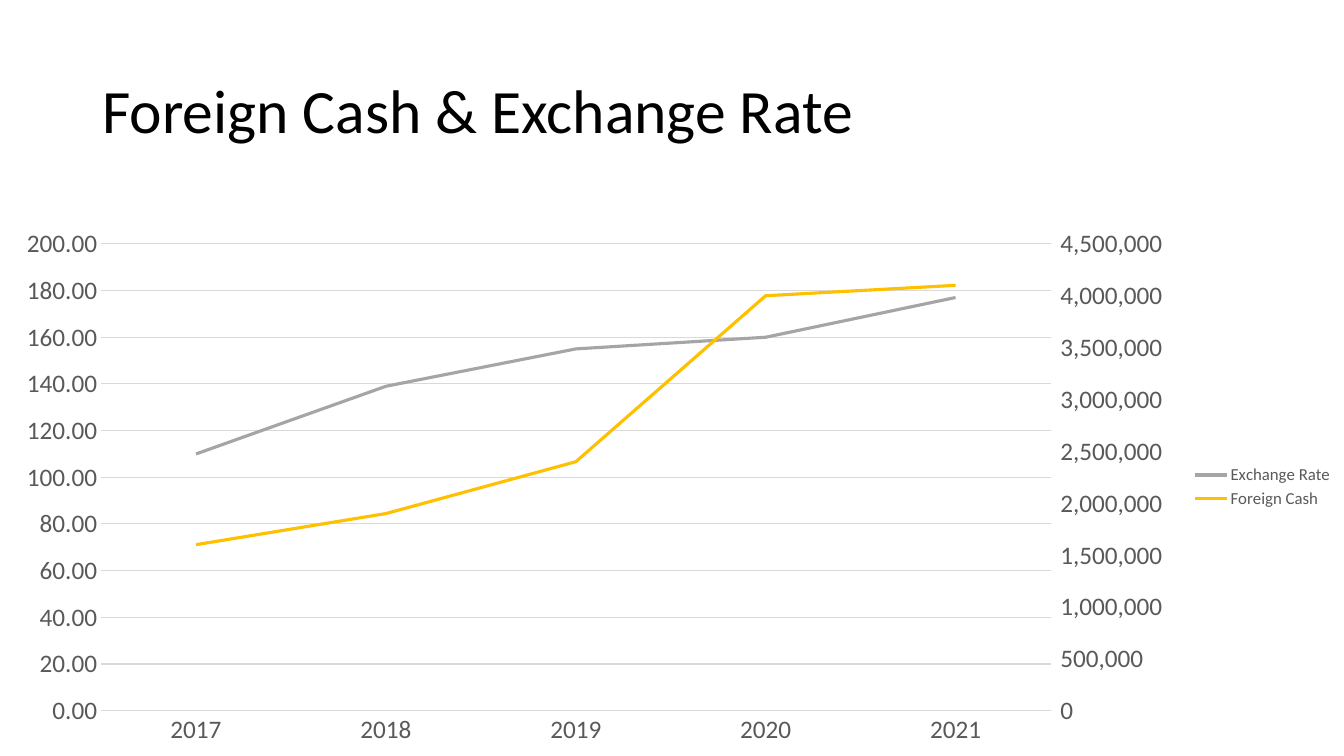
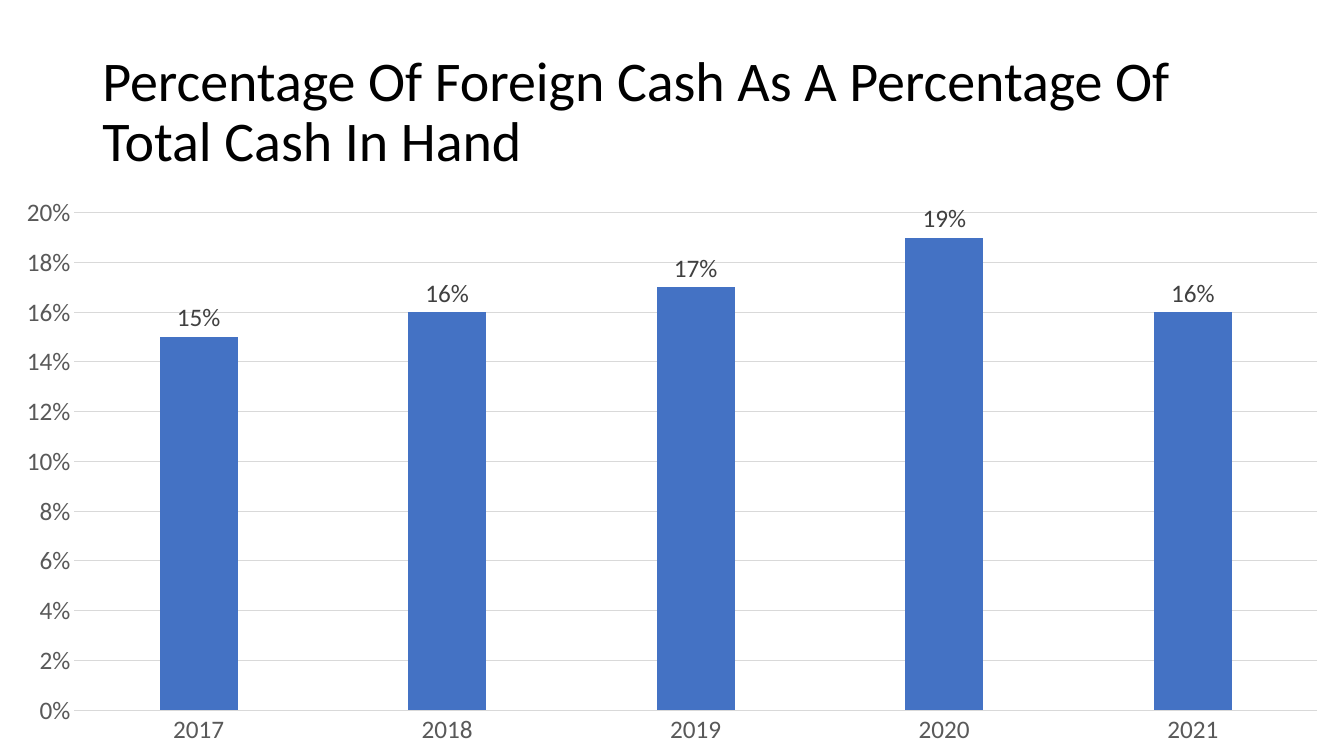
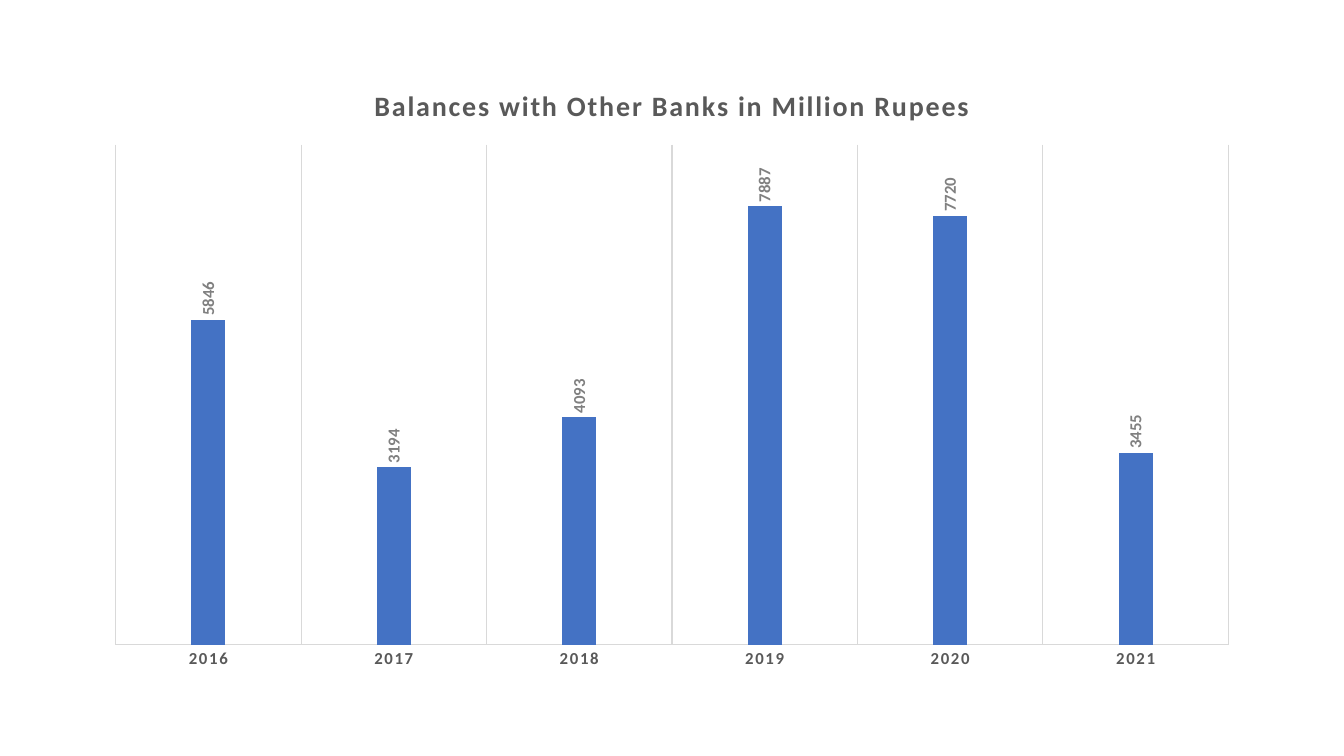
"""Build three slides of cash and bank balance charts."""
from copy import deepcopy

from pptx import Presentation
from pptx.chart.data import CategoryChartData
from pptx.dml.color import RGBColor
from pptx.enum.chart import XL_CHART_TYPE, XL_LABEL_POSITION, XL_LEGEND_POSITION, XL_TICK_MARK
from pptx.enum.text import MSO_ANCHOR
from pptx.oxml import parse_xml
from pptx.oxml.ns import nsdecls
from pptx.util import Cm, Pt

LINE = XL_CHART_TYPE.LINE
COLUMN = XL_CHART_TYPE.COLUMN_CLUSTERED
ABOVE = XL_LABEL_POSITION.OUTSIDE_END
RIGHT = XL_LEGEND_POSITION.RIGHT
NONE = XL_TICK_MARK.NONE
MIDDLE = MSO_ANCHOR.MIDDLE

THEME = {
    "font": "Calibri",
    "ink": "000000", "text": "595959", "dark": "404040", "mid": "808080",
    "grid": "D9D9D9", "blue": "4472C4", "gray": "A5A5A5", "gold": "FFC000",
    "base": 10, "small": 12, "axis": 18, "head": 20, "title": 44, "long": 40,
    "thin": 0.75, "thick": 2.25, "space": "120",
}
YEARS = ["2017", "2018", "2019", "2020", "2021"]
BANKS = "Balances with Other Banks in Million Rupees"

PAGES = [
    {"title": "Foreign Cash & Exchange Rate", "size": "title",
     "kind": LINE, "box": (0, 5.49, 33.87, 13.56), "cats": YEARS,
     "series": [("Exchange Rate", [110, 139, 155, 160, 177], "gray"),
                ("Foreign Cash", [1600000, 1900000, 2400000, 4000000, 4100000], "gold")],
     "max": 200, "unit": 20, "format": "#,##0.00", "axis": "axis"},
    {"title": "Percentage Of Foreign Cash As A Percentage Of Total Cash In Hand",
     "size": "long", "kind": COLUMN, "box": (0, 4.69, 33.87, 14.36), "cats": YEARS,
     "series": [("Series 1", [0.15, 0.16, 0.17, 0.19, 0.16], "blue")],
     "max": 0.2, "unit": 0.02, "format": "0%", "axis": "axis",
     "plot": {"gap_width": 219, "overlap": -27}, "label": ("axis", "dark", False)},
    {"head": BANKS, "kind": COLUMN, "box": (2.33, 1.59, 29.21, 15.57),
     "cats": ["2016"] + YEARS,
     "series": [(BANKS, [5846, 3194, 4093, 7887, 7720, 3455], "blue")],
     "max": 9000, "unit": 1000, "format": "0", "axis": "small",
     "plot": {"gap_width": 444, "overlap": -90}, "label": ("small", "mid", True)},
]


def put(item, values):
    """Set each named value on an object."""
    for name, value in values.items():
        setattr(item, name, value)


def style(font, size, color, bold=False):
    """Give a font its theme look."""
    put(font, {"name": THEME["font"], "size": Pt(THEME[size]), "bold": bold})
    font.color.rgb = RGBColor.from_string(THEME[color])


deck = Presentation()
put(deck, {"slide_width": Cm(33.87), "slide_height": Cm(19.05)})

for page in PAGES:
    slide = deck.slides.add_slide(deck.slide_layouts[6])
    if "title" in page:
        box = slide.shapes.add_textbox(Cm(2.33), Cm(1.02), Cm(29.21), Cm(3.68))
        put(box.text_frame, {"word_wrap": True, "vertical_anchor": MIDDLE})
        para = box.text_frame.paragraphs[0]
        para.line_spacing = 0.9
        run = para.add_run()
        run.text = page["title"]
        style(run.font, page["size"], "ink")

    data = CategoryChartData()
    data.categories = page["cats"]
    for name, values, color in page["series"]:
        data.add_series(name, values)
    place = [Cm(side) for side in page["box"]]
    chart = slide.shapes.add_chart(page["kind"], *place, data).chart
    put(chart, {"has_title": "head" in page, "has_legend": page["kind"] == LINE})
    style(chart.font, "base", "ink")
    root = chart.element

    cat, val = chart.category_axis, chart.value_axis
    put(cat, {"major_tick_mark": NONE, "has_major_gridlines": "head" in page})
    put(val, {"major_tick_mark": NONE, "has_major_gridlines": "head" not in page,
              "visible": "head" not in page, "minimum_scale": 0,
              "maximum_scale": page["max"], "major_unit": page["unit"]})
    form = {"number_format": page["format"], "number_format_is_linked": False}
    put(val.tick_labels, form)
    val.format.line.fill.background()
    for axis in (cat, val):
        style(axis.tick_labels.font, page["axis"], "text", "head" in page)
    ruled = cat if "head" in page else val
    for rule in (cat.format.line, ruled.major_gridlines.format.line):
        rule.width = Pt(THEME["thin"])
        rule.color.rgb = RGBColor.from_string(THEME["grid"])

    plot = chart.plots[0]
    plot.vary_by_categories = False
    put(plot, page.get("plot", {}))
    for item, (name, values, color) in zip(plot.series, page["series"]):
        shade = RGBColor.from_string(THEME[color])
        if page["kind"] == LINE:
            item.smooth = False
            item.format.line.width = Pt(THEME["thick"])
            item.format.line.color.rgb = shade
        else:
            item.format.fill.solid()
            item.format.fill.fore_color.rgb = shade

    if "label" in page:
        plot.has_data_labels = True
        put(plot.data_labels, {"show_value": True, "position": ABOVE, **form})
        style(plot.data_labels.font, *page["label"])

    if "head" in page:
        frame = chart.chart_title.text_frame
        frame.text = page["head"]
        style(frame.paragraphs[0].runs[0].font, "head", "text", True)
        for node in root.xpath(".//c:title//a:rPr | .//c:catAx/c:txPr//a:defRPr"):
            node.set("spc", THEME["space"])
        for node in root.xpath(".//c:dLbls/c:txPr/a:bodyPr"):
            node.set("rot", "-5400000")
            node.set("vert", "horz")

    if page["kind"] == LINE:
        put(chart.legend, {"position": RIGHT, "include_in_layout": False})
        style(chart.legend.font, "small", "text")
        left = root.xpath(".//c:valAx")[0]
        if not left.xpath("c:crossBetween"):
            between = parse_xml(f'<c:crossBetween {nsdecls("c")} val="between"/>')
            left.xpath("c:crosses")[0].addnext(between)
        lines = root.xpath(".//c:lineChart")[0]
        base = root.xpath(".//c:catAx")[0]
        second, low, right = deepcopy(lines), deepcopy(base), deepcopy(left)
        lines.remove(lines.xpath("c:ser")[1])
        second.remove(second.xpath("c:ser")[0])
        lines.addnext(second)
        left.addnext(right)
        right.addnext(low)
        for node, ident in zip(second.xpath("c:axId"), ("111", "222")):
            node.set("val", ident)
        right.remove(right.xpath("c:majorGridlines")[0])
        right.xpath("c:numFmt")[0].set("formatCode", "#,##0")
        edits = [
            (low, {"c:axId": "111", "c:crossAx": "222", "c:delete": "1"}),
            (right, {"c:axId": "222", "c:crossAx": "111", "c:axPos": "r",
                     "c:crosses": "max", "c:majorTickMark": "out",
                     "c:scaling/c:max": "4500000", "c:majorUnit": "500000"}),
        ]
        for axis, values in edits:
            for tag, value in values.items():
                axis.xpath(tag)[0].set("val", value)

deck.save("out.pptx")
